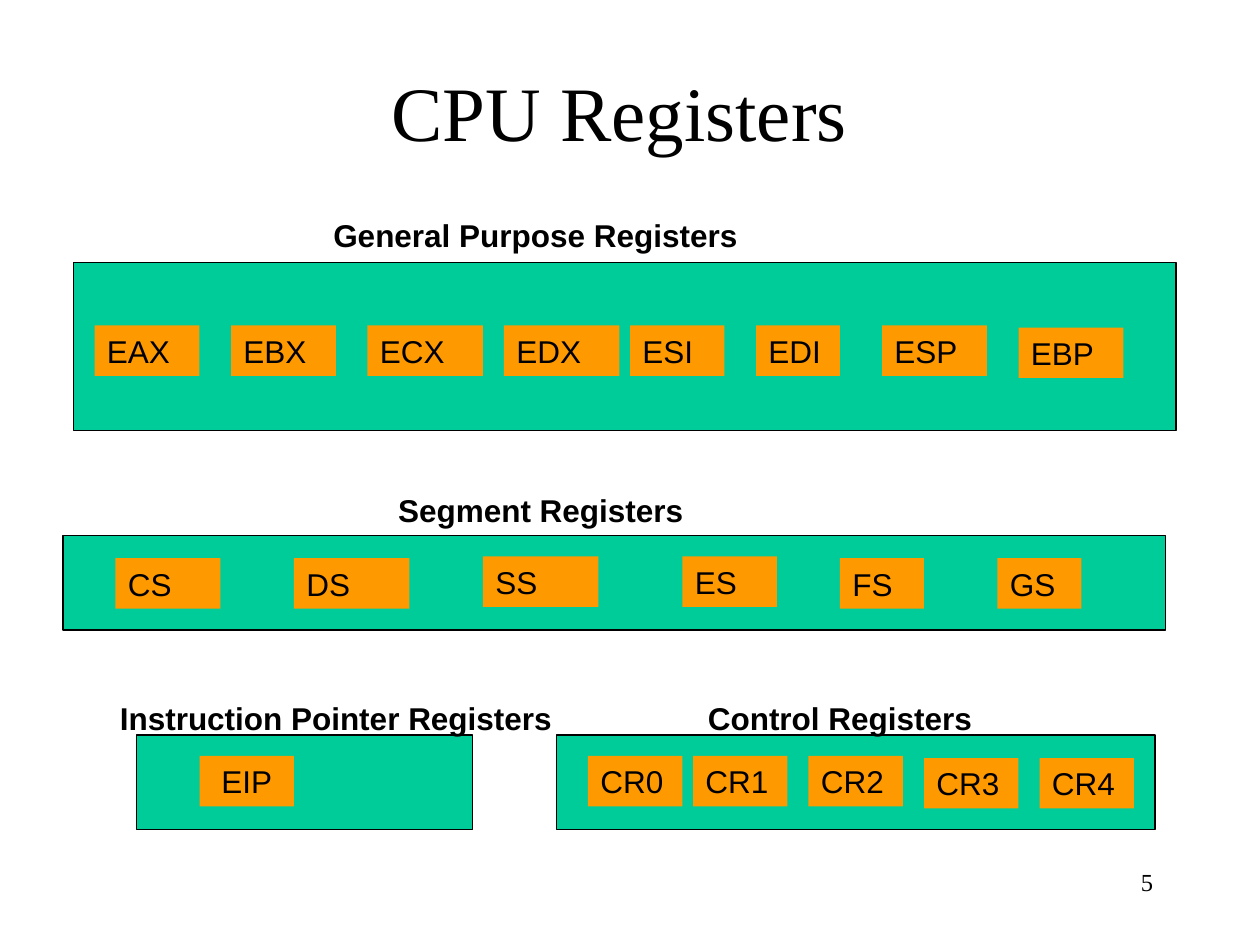
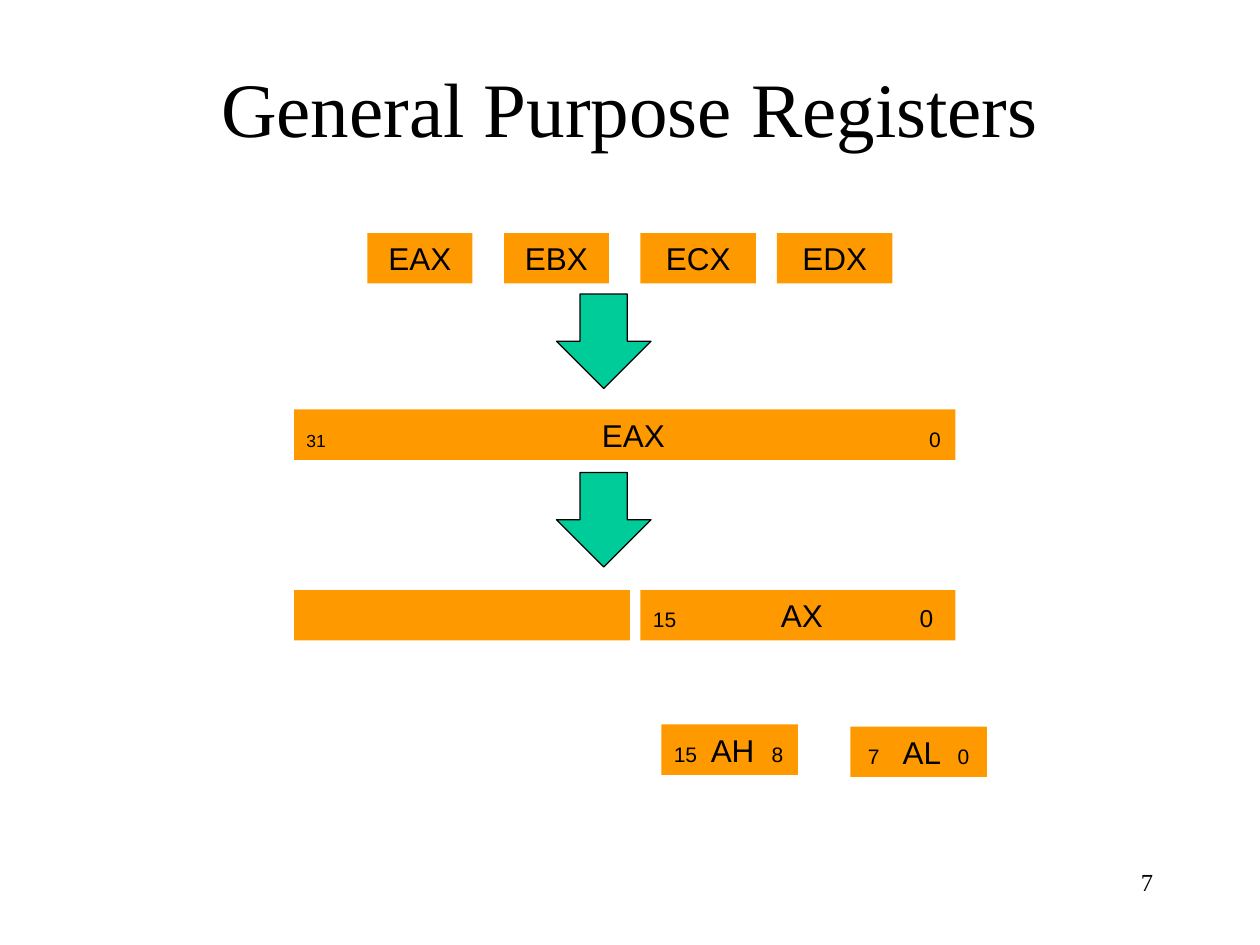
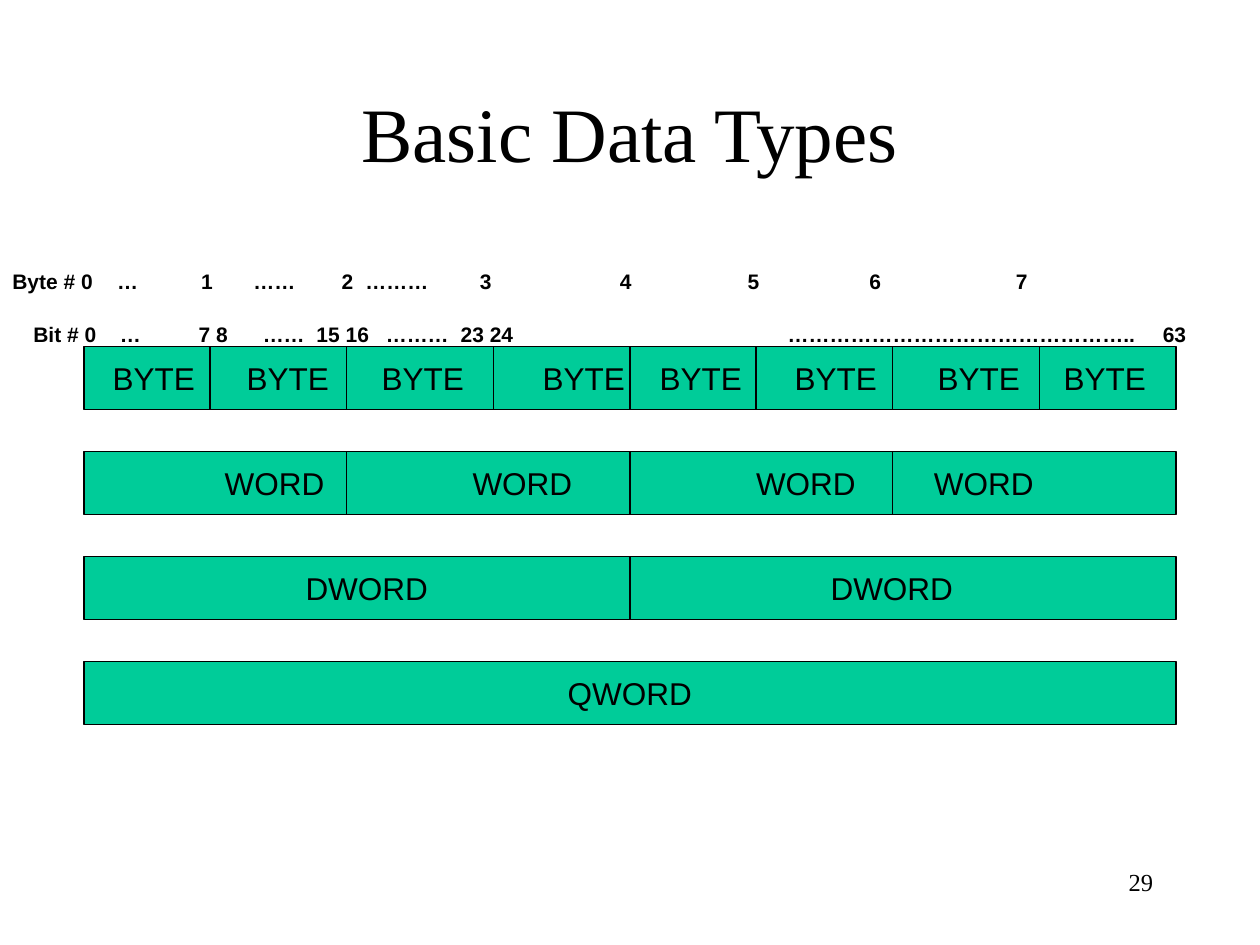
from lxml import etree
from pptx import Presentation
from pptx.dml.color import RGBColor
from pptx.enum.shapes import MSO_CONNECTOR, MSO_SHAPE
from pptx.enum.text import MSO_ANCHOR as ANCHOR, PP_ALIGN as ALIGN
from pptx.oxml.ns import qn
from pptx.util import Pt

GREEN, ORANGE, BLACK = "00CC99", "FF9900", "000000"
SANS, SERIF = "Arial", "Times New Roman"
INSET = 7.2
BOX_H = 28.8
rgb = RGBColor.from_string


def write(sp, parts, font=SANS, bold=False, align=ALIGN.LEFT,
          anchor=ANCHOR.MIDDLE, tabs=(), tab_kind="l", left=0):
    """Write (text, size) parts; the last ones stand at tabs, given as slide positions."""
    tf = sp.text_frame
    tf.word_wrap = True
    tf.vertical_anchor = anchor
    p = tf.paragraphs[0]
    p.alignment = align
    if tabs:
        tab_list = etree.SubElement(p._p.get_or_add_pPr(), qn("a:tabLst"))
        for x in tabs:
            etree.SubElement(tab_list, qn("a:tab"),
                             pos=str(Pt(x - left - INSET)), algn=tab_kind)
    for i, (text, size) in enumerate(parts):
        r = p.add_run()
        r.text = "\t" + text if i >= len(parts) - len(tabs) else text
        r.font.name, r.font.size, r.font.bold = font, Pt(size), bold
        r.font.color.rgb = rgb(BLACK)


def add_box(s, x, y, w, h=BOX_H, fill=None, parts=(), shape=MSO_SHAPE.RECTANGLE, **style):
    """Add a filled shape, outlined when green, or a text box when there is no fill."""
    at = Pt(x), Pt(y), Pt(w), Pt(h)
    if fill is None:
        sp = s.shapes.add_textbox(*at)
    else:
        sp = s.shapes.add_shape(shape, *at)
        sp.shadow.inherit = False
        sp.fill.solid()
        sp.fill.fore_color.rgb = rgb(fill)
        if fill == GREEN:
            sp.line.color.rgb = rgb(BLACK)
            sp.line.width = Pt(0.75)
        else:
            sp.line.fill.background()
    if parts:
        write(sp, parts, left=x, **style)


prs = Presentation()
prs.slide_width, prs.slide_height = Pt(720), Pt(540)

# Titles and slide numbers
slides = []
for title, number, x, y, h in [
    ("CPU Registers", "5", 48, 18, 90),
    ("General Purpose Registers", "7", 54, 24, 74),
    ("Basic Data Types", "29", 54, 30, 90),
]:
    s = prs.slides.add_slide(prs.slide_layouts[5])
    sp = s.shapes.title
    sp.left, sp.top, sp.width, sp.height = Pt(x), Pt(y), Pt(612), Pt(h)
    write(sp, [(title, 44)], font=SERIF, align=ALIGN.CENTER)
    add_box(s, 516, 492, 150, 36, parts=[(number, 14)], font=SERIF,
            align=ALIGN.RIGHT, anchor=ANCHOR.TOP)
    slides.append(s)
cpu, general, types = slides

# CPU registers: heading, its place, panel, registers as (name, x, y, width)
for heading, heading_at, panel, registers in [
    ("General Purpose Registers", (174, 120, 264), (42, 150, 630, 96),
     [("EAX", 54, 186, 60), ("EBX", 132, 186, 60), ("ECX", 210, 186, 66),
      ("EDX", 288, 186, 66), ("ESI", 360, 186, 54), ("EDI", 432, 186, 48),
      ("ESP", 504, 186, 60), ("EBP", 582, 187.2, 60)]),
    ("Segment Registers", (192, 277, 234), (36, 306, 630, 54),
     [("CS", 66, 319, 60), ("DS", 168, 319, 66), ("SS", 276, 318, 66),
      ("ES", 390, 318, 54), ("FS", 480, 319, 48), ("GS", 570, 319, 48)]),
    ("Control Registers", (348, 396, 264), (318, 420, 342, 54),
     [("CR0", 336, 432, 54), ("CR1", 396, 432, 54), ("CR2", 462, 432, 54),
      ("CR3", 528, 433.2, 54), ("CR4", 594, 433.2, 54)]),
    ("Instruction Pointer Registers", (60, 396, 264), (78, 420, 192, 54),
     [("EIP", 114, 432, 54)]),
]:
    add_box(cpu, *panel, fill=GREEN)
    add_box(cpu, *heading_at, parts=[(heading, 18)], bold=True, align=ALIGN.CENTER)
    for name, x, y, w in registers:
        add_box(cpu, x, y, w, fill=ORANGE, parts=[(name, 18)],
                align=ALIGN.CENTER if name == "EIP" else ALIGN.LEFT)

# General purpose registers: from EAX down to AH and AL
for i, (name, w) in enumerate([("EAX", 60), ("EBX", 60), ("ECX", 66), ("EDX", 66)]):
    add_box(general, 210 + 78 * i, 133.2, w, fill=ORANGE, parts=[(name, 18)],
            align=ALIGN.CENTER)
for y in (168, 270):
    add_box(general, 318, y, 54, 54, fill=GREEN, shape=MSO_SHAPE.DOWN_ARROW)
add_box(general, 168, 337.2, 192, fill=ORANGE)
for x, y, w, parts, tabs in [
    (168, 234, 378, [("31", 10), ("EAX", 18), ("0", 12)], [344, 531]),
    (366, 337.2, 180, [("15", 12), ("AX", 18), ("0", 14)], [446.3, 525.6]),
    (378, 414, 78, [("15", 12), ("AH", 18), ("8", 12)], [406.3, 441]),
    (486, 415.2, 78, [("7", 12), ("AL", 18), ("0", 12)], [496, 516, 547.3]),
]:
    add_box(general, x, y, w, fill=ORANGE, parts=parts, tabs=tabs)

# Basic data types: each row joins twice as many bytes as the row above
byte_edges = [120, 198, 282, 360, 432, 510, 594]
for i, (name, centres) in enumerate([
    ("BYTE", [88, 164.6, 241.7, 333.7, 400.6, 477.7, 559.4, 631.4]),
    ("WORD", [157, 298.6, 460.6, 562.3]),
    ("DWORD", [209.7, 509.7]),
    ("QWORD", [360]),
]):
    y, step = 198 + 60 * i, 2 ** i
    add_box(types, 48, y, 624, 36, fill=GREEN, parts=[(name, 18)] * len(centres),
            tabs=centres, tab_kind="ctr")
    for x in byte_edges[step - 1::step]:
        line = types.shapes.add_connector(MSO_CONNECTOR.STRAIGHT,
                                          Pt(x), Pt(y + 36), Pt(x), Pt(y))
        line.line.color.rgb = rgb(BLACK)
        line.line.width = Pt(0.75)
        etree.SubElement(line._element.spPr, qn("a:effectLst"))

for x, y, words, tabs in [
    (12, 180, ["Bit # 0", "…", "7 8", "……", "15 16", "………", "23 24",
               "…………………………………………..", "63"],
     [68.6, 113.7, 150.3, 181, 220.6, 263.4, 450.3, 664.6]),
    (0, 150, ["Byte # 0", "…", "1", "……", "2", "………", "3", "4", "5", "6", "7"],
     [67, 115, 145, 195.4, 209, 274.3, 354.3, 427.4, 497, 580.6]),
]:
    add_box(types, x, y, 684, 21.6, parts=[(word, 12) for word in words],
            tabs=tabs, bold=True)

prs.save("out.pptx")
